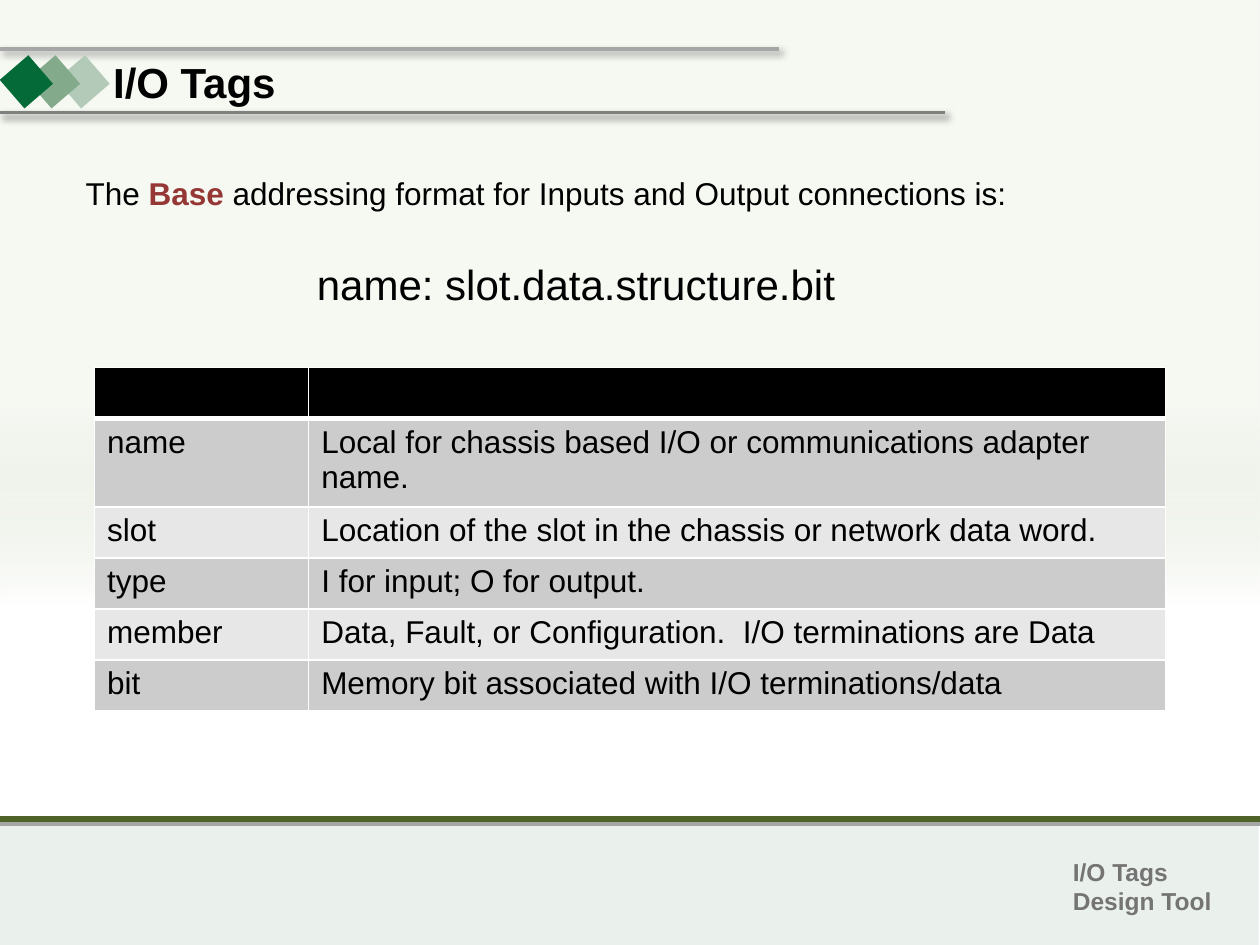
from dataclasses import dataclass

from lxml import etree
from pptx import Presentation
from pptx.dml.color import RGBColor
from pptx.enum.shapes import MSO_CONNECTOR, MSO_SHAPE
from pptx.enum.text import MSO_AUTO_SIZE
from pptx.oxml import parse_xml
from pptx.oxml.ns import nsdecls, qn
from pptx.util import Pt

RECTANGLE = MSO_SHAPE.RECTANGLE
STRAIGHT = MSO_CONNECTOR.STRAIGHT
FIT_SHAPE = MSO_AUTO_SIZE.SHAPE_TO_FIT_TEXT


@dataclass(frozen=True)
class Theme:
    font: str = "Arial"
    black: str = "000000"
    white: str = "FFFFFF"
    wash: str = "D1DCC3"
    footer: str = "EAF0EB"
    footer_text: str = "757474"
    olive: str = "4F6228"
    light_rule: str = "A6A6A6"
    dark_rule: str = "808080"
    accent: str = "953735"
    diamonds: tuple = ("B4CAB8", "84AA8C", "046A38")
    bands: tuple = ("CCCCCC", "E7E7E7")
    title_size: int = 24
    body_size: int = 18
    footer_size: int = 14


THEME = Theme()
PAGE_WIDTH, PAGE_HEIGHT, FOOTER_TOP = 720, 540, 468

ROWS = [
    ("", ""),
    ("name", "Local for chassis based I/O or communications adapter name."),
    ("slot", "Location of the slot in the chassis or network data word."),
    ("type", "I for input; O for output."),
    ("member", "Data, Fault, or Configuration.  I/O terminations are Data"),
    ("bit", "Memory bit associated with I/O terminations/data"),
]


def add_rectangle(page, left, top, width, height, color, rotation=0):
    shape = page.shapes.add_shape(RECTANGLE, Pt(left), Pt(top), Pt(width), Pt(height))
    shape.shadow.inherit = False
    shape.fill.solid()
    shape.fill.fore_color.rgb = RGBColor.from_string(color)
    shape.line.fill.background()
    shape.rotation = rotation
    return shape


def add_wash(page):
    """Pale green at the top, fading to white above the footer."""
    shape = add_rectangle(page, 0, 0, PAGE_WIDTH, FOOTER_TOP, THEME.white)
    gradient = parse_xml(
        f'<a:gradFill {nsdecls("a")} rotWithShape="1"><a:gsLst>'
        f'<a:gs pos="50000"><a:srgbClr val="{THEME.wash}"><a:alpha val="20000"/></a:srgbClr></a:gs>'
        f'<a:gs pos="74000"><a:srgbClr val="{THEME.white}"/></a:gs>'
        f'<a:gs pos="100000"><a:srgbClr val="{THEME.white}"/></a:gs>'
        '</a:gsLst><a:lin ang="5400000" scaled="0"/></a:gradFill>')
    properties = shape._element.spPr
    properties.replace(properties.find(qn("a:solidFill")), gradient)


def add_rule(page, left, right, top, color, weight, shadow=False):
    rule = page.shapes.add_connector(STRAIGHT, Pt(left), Pt(top), Pt(right), Pt(top))
    rule.line.color.rgb = RGBColor.from_string(color)
    rule.line.width = Pt(weight)
    effects = etree.SubElement(rule._element.spPr, qn("a:effectLst"))
    if shadow:
        effects.append(parse_xml(
            f'<a:outerShdw {nsdecls("a")} blurRad="{Pt(4)}" dist="{Pt(3)}" dir="2700000">'
            f'<a:srgbClr val="{THEME.black}"><a:alpha val="40000"/></a:srgbClr></a:outerShdw>'))


def format_font(font, size, color=THEME.black, bold=False):
    font.name = THEME.font
    font.size = Pt(size)
    font.bold = bold
    font.color.rgb = RGBColor.from_string(color)


def add_text(page, left, top, width, height, paragraphs, size):
    """Each paragraph is a list of (text, color, bold) spans."""
    box = page.shapes.add_textbox(Pt(left), Pt(top), Pt(width), Pt(height))
    frame = box.text_frame
    frame.word_wrap = False
    frame.auto_size = FIT_SHAPE
    for index, spans in enumerate(paragraphs):
        para = frame.add_paragraph() if index else frame.paragraphs[0]
        for text, color, bold in spans:
            span = para.add_run()
            span.text = text
            format_font(span.font, size, color, bold)


def set_borders(cell, top, bottom):
    properties = cell._tc.get_or_add_tcPr()
    for side, weight in (("L", 1), ("R", 1), ("T", top), ("B", bottom)):
        properties.append(parse_xml(
            f'<a:ln{side} {nsdecls("a")} w="{Pt(weight)}"><a:solidFill>'
            f'<a:srgbClr val="{THEME.white}"/></a:solidFill></a:ln{side}>'))


def add_tag_table(page):
    row_height = 29.2
    frame = page.shapes.add_table(len(ROWS), 2, Pt(54), Pt(210), Pt(612),
                                  Pt(row_height * len(ROWS)))
    table = frame.table
    table.first_row = table.horz_banding = False
    for column, width in zip(table.columns, (122.4, 489.6)):
        column.width = Pt(width)
    for row_index, texts in enumerate(ROWS):
        table.rows[row_index].height = Pt(row_height)
        fill = THEME.bands[(row_index - 1) % 2] if row_index else THEME.black
        for column_index, text in enumerate(texts):
            cell = table.cell(row_index, column_index)
            set_borders(cell, 3 if row_index == 1 else 1, 1 if row_index else 3)
            cell.fill.solid()
            cell.fill.fore_color.rgb = RGBColor.from_string(fill)
            cell.text_frame.text = text
            para = cell.text_frame.paragraphs[0]
            format_font(para.font, THEME.body_size)
            for span in para.runs:
                format_font(span.font, THEME.body_size)


def main():
    deck = Presentation()
    deck.slide_width, deck.slide_height = Pt(PAGE_WIDTH), Pt(PAGE_HEIGHT)
    page = deck.slides.add_slide(deck.slide_layouts[6])

    # Background and footer
    add_rectangle(page, -0.7, FOOTER_TOP, PAGE_WIDTH, PAGE_HEIGHT - FOOTER_TOP, THEME.footer)
    add_wash(page)
    add_rule(page, 0, PAGE_WIDTH, 470.8, THEME.light_rule, 2.25)
    add_rule(page, 0, PAGE_WIDTH, FOOTER_TOP, THEME.olive, 3)
    footer_lines = [[(text, THEME.footer_text, True)] for text in ("I/O Tags", "Design Tool")]
    add_text(page, 606, 486, 93.6, 41.2, footer_lines, THEME.footer_size)

    # Title ornament
    add_rule(page, -0.7, 540, 64.3, THEME.dark_rule, 2.25, shadow=True)
    add_rule(page, -0.7, 445, 27.9, THEME.light_rule, 2.25, shadow=True)
    for left, color in zip((36.7, 19.8, 4.3), THEME.diamonds):
        add_rectangle(page, left, 36, 21.6, 21.6, color, 49.2)

    # Introduction and address format
    add_text(page, 41.8, 96, 545.8, 29.1, [[
        ("The ", THEME.black, False),
        ("Base", THEME.accent, True),
        (" addressing format for Inputs and Output connections is:", THEME.black, False),
    ]], THEME.body_size)
    add_text(page, 174, 144, 313.2, 36.4,
             [[("name: slot.data.structure.bit", THEME.black, False)]], THEME.title_size)

    add_tag_table(page)

    # Title
    add_text(page, 57.6, 28.8, 108, 36.4, [[("I/O Tags", THEME.black, True)]], THEME.title_size)

    deck.save("out.pptx")


if __name__ == "__main__":
    main()
